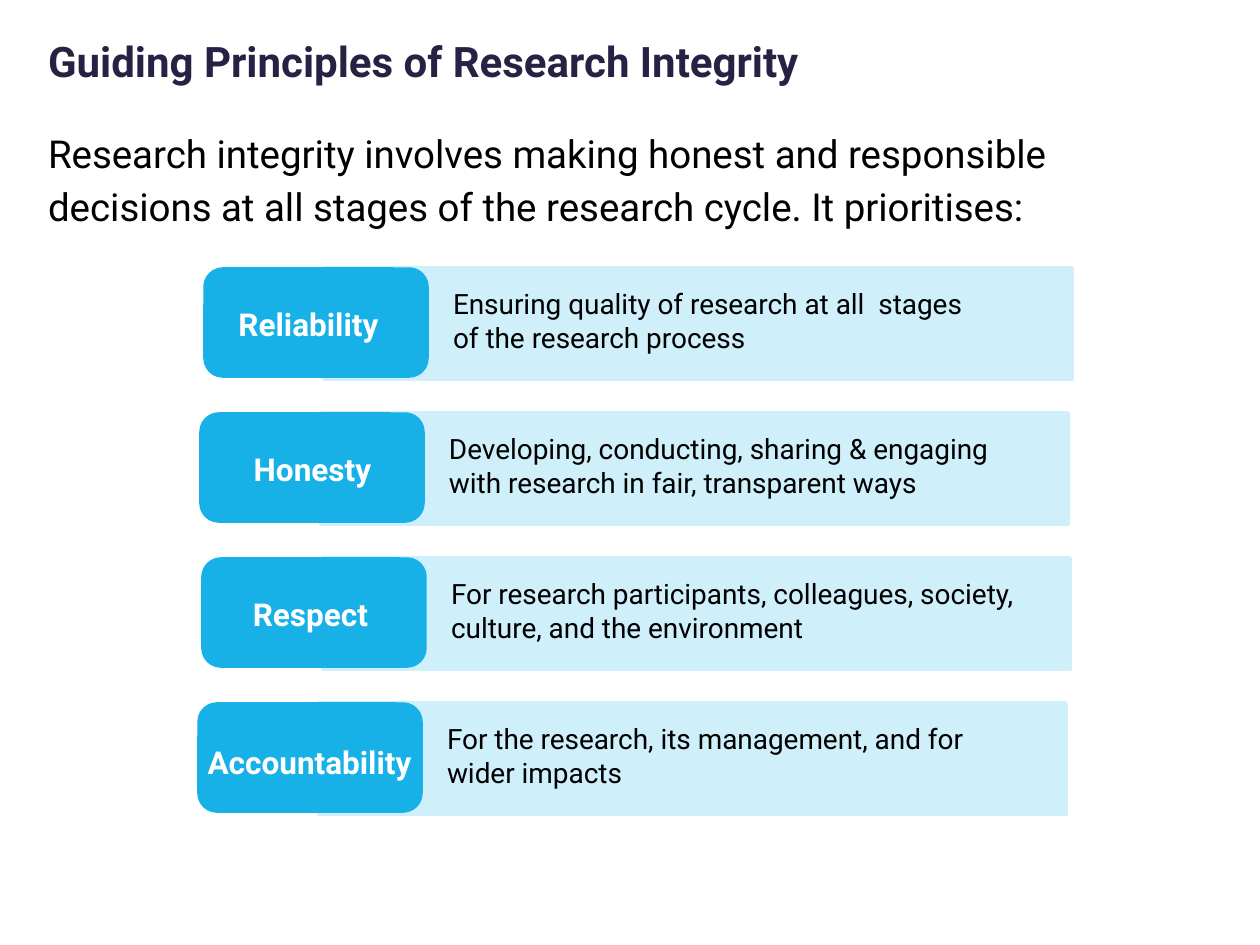
from dataclasses import dataclass

from lxml import etree
from pptx import Presentation
from pptx.dml.color import RGBColor
from pptx.enum.shapes import MSO_SHAPE
from pptx.enum.text import MSO_ANCHOR, MSO_AUTO_SIZE, PP_ALIGN
from pptx.oxml.ns import qn
from pptx.shapes.autoshape import Shape
from pptx.shapes.shapetree import GroupShapes
from pptx.text.text import TextFrame
from pptx.util import Emu, Pt

RECTANGLE = MSO_SHAPE.RECTANGLE
ROUNDED = MSO_SHAPE.ROUNDED_RECTANGLE
LEFT, CENTER = PP_ALIGN.LEFT, PP_ALIGN.CENTER
TOP = MSO_ANCHOR.TOP
NO_FIT = MSO_AUTO_SIZE.NONE

EMU_PER_PX = 914400 / 126
FONT = "Roboto"
NAVY, BLACK, WHITE = "252244", "000000", "FFFFFF"
BLUE, PALE_BLUE = "17B1E7", "CFEFFA"
FIRST_ROW_TOP, ROW_PITCH = 268, 145


@dataclass(frozen=True)
class Box:
    left: int
    top: int
    width: int
    height: int

    def emu(self) -> tuple[Emu, Emu, Emu, Emu]:
        return px(self.left), px(self.top), px(self.width), px(self.height)


@dataclass(frozen=True)
class TextStyle:
    size: int
    color: str
    bold: bool = False
    align: PP_ALIGN = LEFT
    line_spacing: float = 1.0


@dataclass(frozen=True)
class Principle:
    name: str
    description: str
    band_left: int
    name_left: int
    name_width: int
    description_width: int
    name_drop: int = 24


TITLE_STYLE = TextStyle(24, NAVY, bold=True, line_spacing=0.9)
INTRO_STYLE = TextStyle(22, BLACK, line_spacing=1.15)
NAME_STYLE = TextStyle(18, WHITE, bold=True, align=CENTER)
DESCRIPTION_STYLE = TextStyle(16, BLACK)

PRINCIPLES = [
    Principle("Reliability",
              "Ensuring quality of research at all  stages \vof the research process",
              325, 188, 241, 571),
    Principle("Honesty",
              "Developing, conducting, sharing & engaging \vwith research in fair, transparent ways",
              321, 192, 241, 622),
    Principle("Respect",
              "For research participants, colleagues, society, culture, and the environment",
              323, 190, 241, 609),
    Principle("Accountability",
              "For the research, its management, and for wider impacts",
              319, 194, 231, 609, name_drop=27),
]


def px(length: int) -> Emu:
    return Emu(round(length * EMU_PER_PX))


def rgb(color: str) -> RGBColor:
    return RGBColor.from_string(color)


def write(frame: TextFrame, text: str, style: TextStyle, inset_x: int, inset_y: int) -> None:
    frame.text = text
    frame.word_wrap = True
    frame.auto_size = NO_FIT
    frame.vertical_anchor = TOP
    frame.margin_left = frame.margin_right = px(inset_x)
    frame.margin_top = frame.margin_bottom = px(inset_y)
    for paragraph in frame.paragraphs:
        paragraph.alignment = style.align
        paragraph.line_spacing = style.line_spacing
        paragraph.space_before = Pt(0)
        for run in paragraph.runs:
            run.font.name = FONT
            run.font.size = Pt(style.size)
            run.font.bold = style.bold
            run.font.color.rgb = rgb(style.color)


def fill_placeholder(placeholder: Shape, box: Box, text: str, style: TextStyle) -> None:
    placeholder.left, placeholder.top, placeholder.width, placeholder.height = box.emu()
    write(placeholder.text_frame, text, style, 13, 6)


def remove_bullets(frame: TextFrame) -> None:
    for paragraph in frame.paragraphs:
        properties = paragraph._p.get_or_add_pPr()
        properties.set("marL", "0")
        properties.set("indent", "0")
        etree.SubElement(properties, qn("a:buNone"))


def add_panel(shapes: GroupShapes, kind: MSO_SHAPE, box: Box, color: str) -> None:
    panel = shapes.add_shape(kind, *box.emu())
    panel.shadow.inherit = False
    panel.fill.solid()
    panel.fill.fore_color.rgb = rgb(color)
    panel.line.color.rgb = rgb(color)
    panel.line.width = Pt(2)


def add_text(shapes: GroupShapes, box: Box, text: str, style: TextStyle) -> None:
    write(shapes.add_textbox(*box.emu()).text_frame, text, style, 13, 13)


def add_principle(shapes: GroupShapes, principle: Principle, top: int) -> None:
    left = principle.band_left
    add_panel(shapes, RECTANGLE, Box(left, top, 747, 111), PALE_BLUE)
    add_panel(shapes, ROUNDED, Box(left - 120, top + 1, 222, 107), BLUE)
    add_text(shapes, Box(principle.name_left, top + principle.name_drop, principle.name_width, 63),
             principle.name, NAME_STYLE)
    add_text(shapes, Box(left + 115, top + 6, principle.description_width, 93),
             principle.description, DESCRIPTION_STYLE)


def main() -> None:
    presentation = Presentation()
    presentation.slide_width, presentation.slide_height = px(1260), px(945)
    slide = presentation.slides.add_slide(presentation.slide_layouts[1])
    title, intro = slide.shapes.title, slide.placeholders[1]
    fill_placeholder(title, Box(35, 35, 1188, 111),
                     "Guiding Principles of Research Integrity", TITLE_STYLE)
    fill_placeholder(intro, Box(35, 117, 1155, 155),
                     "Research integrity involves making honest and responsible decisions "
                     "at all stages of the research cycle. It prioritises:", INTRO_STYLE)
    remove_bullets(intro.text_frame)
    for row, principle in enumerate(PRINCIPLES):
        group = slide.shapes.add_group_shape()
        add_principle(group.shapes, principle, FIRST_ROW_TOP + row * ROW_PITCH)
    presentation.save("out.pptx")


if __name__ == "__main__":
    main()
